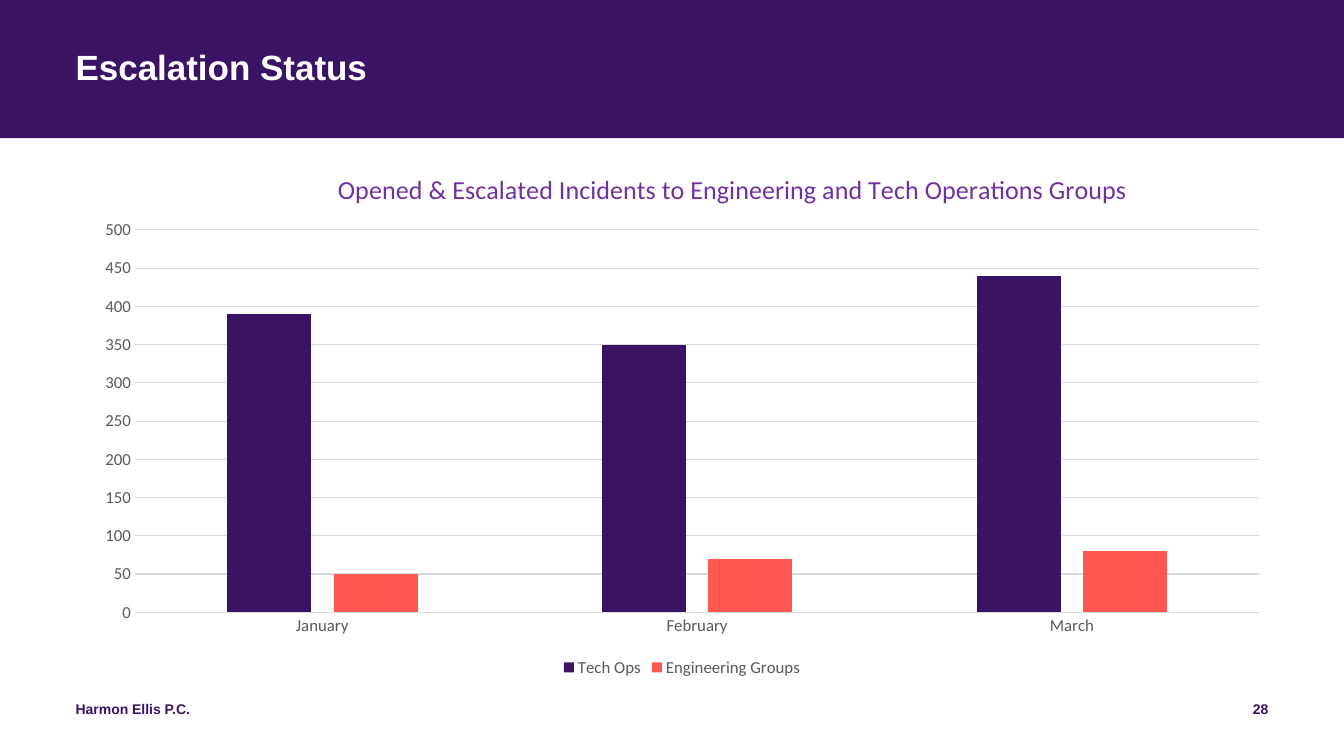
"""Build the Escalation Status slide with its clustered column chart."""
from dataclasses import dataclass

from lxml import etree
from pptx import Presentation
from pptx.chart.chart import Chart
from pptx.chart.data import CategoryChartData
from pptx.dml.color import RGBColor
from pptx.enum.chart import XL_CHART_TYPE, XL_LEGEND_POSITION, XL_TICK_MARK
from pptx.enum.shapes import MSO_SHAPE
from pptx.enum.text import MSO_ANCHOR, PP_ALIGN
from pptx.oxml.ns import qn
from pptx.slide import Slide
from pptx.util import Inches, Pt

COLUMNS = XL_CHART_TYPE.COLUMN_CLUSTERED
BOTTOM = XL_LEGEND_POSITION.BOTTOM
NO_TICK = XL_TICK_MARK.NONE
RECTANGLE = MSO_SHAPE.RECTANGLE
TOP = MSO_ANCHOR.TOP
LEFT, RIGHT = PP_ALIGN.LEFT, PP_ALIGN.RIGHT

PURPLE, CORAL, WHITE = "3B1365", "FF5750", "FFFFFF"
VIOLET, GRAY, GRID = "7030A0", "595959", "D9D9D9"


@dataclass
class Label:
    text: str
    left: float
    top: float
    width: float
    height: float
    size: float
    color: str
    align: PP_ALIGN = LEFT
    spacing: float = 1.0


@dataclass
class Group:
    name: str
    incidents: tuple[int, ...]
    color: str


LABELS = [
    Label("Escalation Status", 0.75, 0.5, 11.83, 0.81, 25, WHITE, spacing=0.9),
    Label("Harmon Ellis P.C.", 0.75, 6.95, 4.5, 0.4, 10, PURPLE),
    Label("28", 9.58, 6.95, 3, 0.4, 10, PURPLE, RIGHT),
]
MONTHS = ["January", "February", "March"]
GROUPS = [
    Group("Tech Ops", (390, 350, 440), PURPLE),
    Group("Engineering Groups", (50, 70, 80), CORAL),
]
CHART_TITLE = "Opened & Escalated Incidents to Engineering and Tech Operations Groups"


def rgb(value: str) -> RGBColor:
    return RGBColor.from_string(value)


def apply(target, values: dict) -> None:
    for name, value in values.items():
        setattr(target, name, value)


def style_font(font, name: str, size: float, color: str, bold: bool = False) -> None:
    apply(font, {"name": name, "size": Pt(size), "bold": bold})
    font.color.rgb = rgb(color)


def style_line(line, color: str) -> None:
    line.color.rgb = rgb(color)
    line.width = Pt(0.75)


def add_band(slide: Slide) -> None:
    band = slide.shapes.add_shape(RECTANGLE, 0, 0, Inches(13.33), Inches(1.37))
    band.shadow.inherit = False
    band.fill.solid()
    band.fill.fore_color.rgb = rgb(PURPLE)
    band.line.fill.background()


def add_label(slide: Slide, label: Label) -> None:
    place = (label.left, label.top, label.width, label.height)
    frame = slide.shapes.add_textbox(*map(Inches, place)).text_frame
    apply(frame, {
        "word_wrap": True, "vertical_anchor": TOP,
        "margin_left": 0, "margin_top": 0, "margin_right": 0, "margin_bottom": 0,
    })
    paragraph = frame.paragraphs[0]
    apply(paragraph, {"alignment": label.align, "line_spacing": label.spacing})
    run = paragraph.add_run()
    run.text = label.text
    style_font(run.font, "Arial", label.size, label.color, True)


def place_part(part, values: dict) -> None:
    layout = part.find(qn("c:layout"))
    if layout is None:
        layout = etree.Element(qn("c:layout"))
        part.insert(0, layout)
    manual = etree.SubElement(layout, qn("c:manualLayout"))
    for name, value in values.items():
        etree.SubElement(manual, qn(f"c:{name}")).set("val", str(value))


def style_axes(chart: Chart) -> None:
    months, incidents = chart.category_axis, chart.value_axis
    for axis in (months, incidents):
        apply(axis, {"major_tick_mark": NO_TICK, "minor_tick_mark": NO_TICK})
        style_font(axis.tick_labels.font, "Calibri", 12, GRAY)
    style_line(months.format.line, GRID)
    apply(incidents, {
        "minimum_scale": 0, "maximum_scale": 500, "major_unit": 50,
        "has_major_gridlines": True,
    })
    incidents.format.line.fill.background()
    style_line(incidents.major_gridlines.format.line, GRID)


def add_incident_chart(slide: Slide) -> None:
    data = CategoryChartData()
    data.categories = MONTHS
    for group in GROUPS:
        data.add_series(group.name, group.incidents)
    place = map(Inches, (0.8, 1.49, 11.93, 5.27))
    chart = slide.shapes.add_chart(COLUMNS, *place, data).chart
    style_font(chart.font, "Calibri", 10, "000000")

    chart.has_title = True
    heading = chart.chart_title.text_frame.paragraphs[0].add_run()
    heading.text = CHART_TITLE
    style_font(heading.font, "Calibri", 18.6, VIOLET)

    chart.has_legend = True
    apply(chart.legend, {"position": BOTTOM, "include_in_layout": False})
    style_font(chart.legend.font, "Calibri", 12, GRAY)

    style_axes(chart)
    plot = chart.plots[0]
    apply(plot, {"gap_width": 219, "overlap": -27, "vary_by_categories": False})
    for series, group in zip(plot.series, GROUPS):
        series.format.fill.solid()
        series.format.fill.fore_color.rgb = rgb(group.color)

    root = chart.element if hasattr(chart, "element") else chart._chartSpace
    place_part(root.find(".//" + qn("c:title")), {
        "xMode": "edge", "yMode": "edge", "x": 0.21, "y": 0.03,
    })
    place_part(root.find(".//" + qn("c:plotArea")), {
        "layoutTarget": "inner", "xMode": "edge", "yMode": "edge",
        "x": 0.045, "y": 0.15, "w": 0.935, "h": 0.72,
    })


def main() -> None:
    deck = Presentation()
    apply(deck, {"slide_width": Inches(13.33), "slide_height": Inches(7.5)})
    slide = deck.slides.add_slide(deck.slide_layouts[6])
    add_band(slide)
    for label in LABELS:
        add_label(slide, label)
    add_incident_chart(slide)
    deck.save("out.pptx")


if __name__ == "__main__":
    main()
